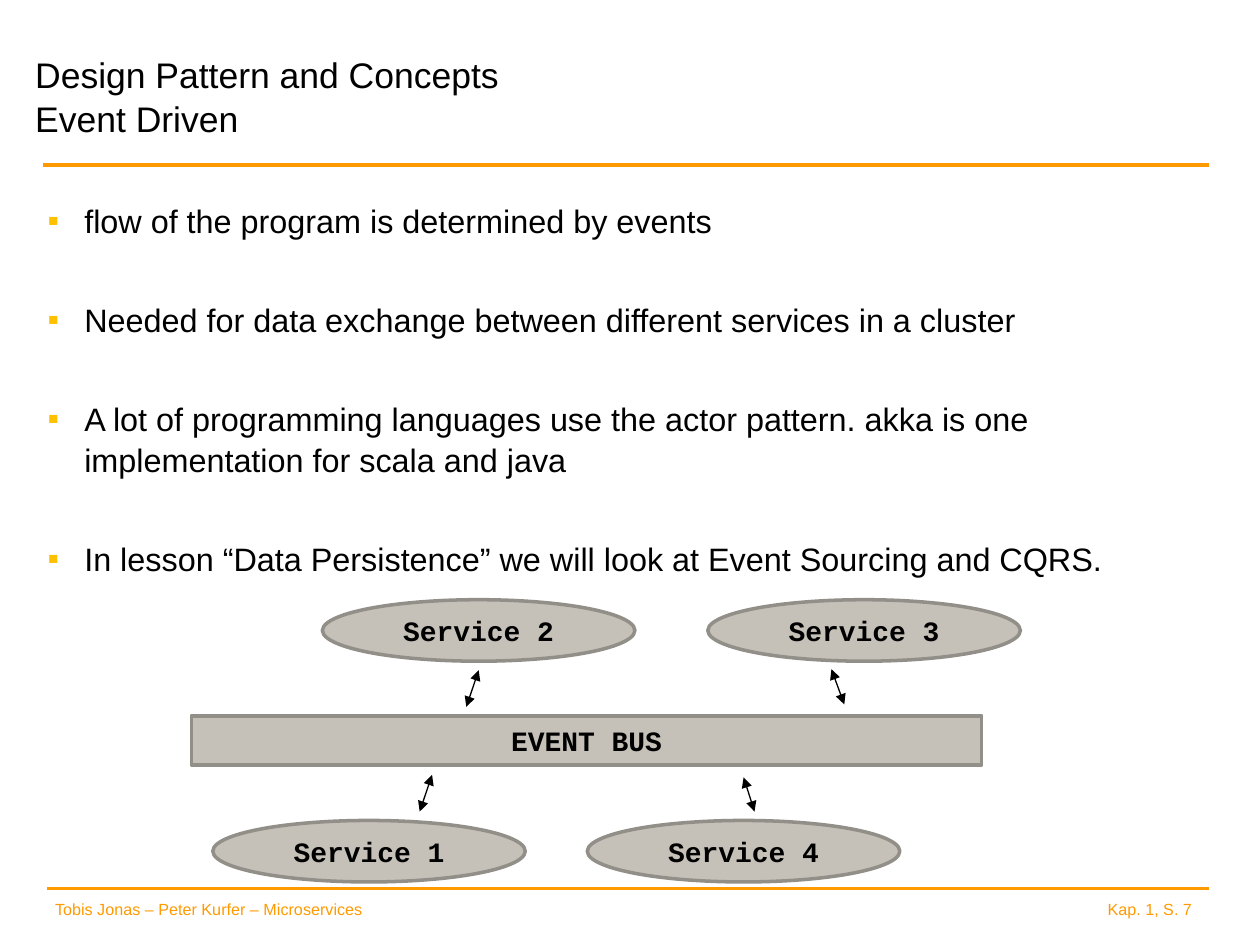
from lxml.etree import SubElement
from pptx import Presentation
from pptx.dml.color import RGBColor
from pptx.enum.shapes import MSO_CONNECTOR as Connector, MSO_SHAPE as Shape
from pptx.enum.text import MSO_ANCHOR as Anchor, MSO_AUTO_SIZE as AutoSize, PP_ALIGN as Align
from pptx.oxml.ns import qn
from pptx.util import Cm, Pt

BLACK = RGBColor(0x00, 0x00, 0x00)
ORANGE = RGBColor(0xFF, 0x9A, 0x00)
RULE_ORANGE = RGBColor(0xFF, 0x99, 0x00)
BULLET_YELLOW = RGBColor(0xFF, 0xC0, 0x00)
STONE = RGBColor(0xC5, 0xC1, 0xB9)
STONE_EDGE = RGBColor(0x92, 0x8F, 0x89)

TITLE = "Design Pattern and Concepts\vEvent Driven"
POINTS = [
    "flow of the program is determined by events",
    "Needed for data exchange between different services in a cluster",
    "A lot of programming languages use the actor pattern. akka is one implementation for scala and java",
    "In lesson “Data Persistence” we will look at Event Sourcing and CQRS.",
]
SERVICE_SIZE = (6.3, 1.24)
UPPER_ROW, LOWER_ROW = 12.09, 16.54
SERVICES = [
    ("Service 1", 4.29, LOWER_ROW),
    ("Service 4", 11.84, LOWER_ROW),
    ("Service 2", 6.5, UPPER_ROW),
    ("Service 3", 14.27, UPPER_ROW),
]
ARROWS = [
    (9.4, 14.25, 9.65, 13.51),
    (8.46, 16.36, 8.71, 15.62),
    (17.02, 14.2, 16.76, 13.49),
    (15.21, 16.36, 14.99, 15.67),
]


def set_text(paragraph, text, size=18.5, font="Arial", color=BLACK, bold=False,
             align=Align.LEFT, before=0, spacing=1.0):
    paragraph.text = text
    paragraph.alignment = align
    paragraph.space_before = Pt(before)
    paragraph.line_spacing = spacing
    for span in paragraph.runs:
        span.font.size = Pt(size)
        span.font.name = font
        span.font.bold = bold
        span.font.color.rgb = color
    for line_break in paragraph._p.findall(qn("a:br")):
        SubElement(line_break, qn("a:rPr"), sz=str(round(size * 100)))


def add_bullet(paragraph, char="▪", indent=Cm(0.74)):
    properties = paragraph._p.get_or_add_pPr()
    properties.set("marL", str(indent))
    properties.set("indent", str(-indent))
    color = SubElement(properties, qn("a:buClr"))
    SubElement(color, qn("a:srgbClr"), val=str(BULLET_YELLOW))
    SubElement(properties, qn("a:buFont"), typeface="Arial")
    SubElement(properties, qn("a:buChar"), char=char)


def set_margins(frame, left, top, right, bottom):
    frame.margin_left, frame.margin_top = Cm(left), Cm(top)
    frame.margin_right, frame.margin_bottom = Cm(right), Cm(bottom)


class SlideBuilder:
    """Holds the current slide and the style of its diagram."""

    label_style = dict(size=16, font="Courier New", bold=True, align=Align.CENTER)

    def __init__(self, page):
        self.page = page

    def title(self, text, left, top, width, height):
        box = self.page.shapes.title
        box.left, box.top, box.width, box.height = map(Cm, (left, top, width, height))
        frame = box.text_frame
        frame.auto_size = AutoSize.NONE
        frame.word_wrap = True
        frame.vertical_anchor = Anchor.BOTTOM
        set_margins(frame, 0, 0, 0, 0)
        set_text(frame.paragraphs[0], text, size=20.3, spacing=1.03)

    def text_box(self, left, top, width, height):
        frame = self.page.shapes.add_textbox(*map(Cm, (left, top, width, height))).text_frame
        frame.word_wrap = True
        return frame

    def bullets(self, points, left, top, width, height):
        frame = self.text_box(left, top, width, height)
        for index, point in enumerate(points):
            paragraph = frame.add_paragraph() if index else frame.paragraphs[0]
            set_text(paragraph, point, before=33.2 if index else 0, spacing=1.05)
            add_bullet(paragraph)

    def footer(self, text, left, width, align=Align.LEFT, right_margin=0.0):
        frame = self.text_box(left, 18.01, width, 0.66)
        set_margins(frame, 0.25, 0.13, right_margin, 0.13)
        set_text(frame.paragraphs[0], text, size=9.2, color=ORANGE, align=align)

    def node(self, kind, text, left, top, width, height):
        box = self.page.shapes.add_shape(kind, *map(Cm, (left, top, width, height)))
        box.shadow.inherit = False
        box.fill.solid()
        box.fill.fore_color.rgb = STONE
        box.line.color.rgb = STONE_EDGE
        box.line.width = Pt(2)
        frame = box.text_frame
        frame.word_wrap = False
        frame.vertical_anchor = Anchor.MIDDLE
        set_text(frame.paragraphs[0], text, **self.label_style)

    def line(self, x1, y1, x2, y2, color=RULE_ORANGE, width=2.0):
        line = self.page.shapes.add_connector(Connector.STRAIGHT, *map(Cm, (x1, y1, x2, y2)))
        line.line.color.rgb = color
        line.line.width = Pt(width)
        SubElement(line._element.spPr, qn("a:effectLst"))
        return line

    def double_arrow(self, x1, y1, x2, y2):
        arrow = self.line(x1, y1, x2, y2, color=BLACK, width=0.75)
        outline = arrow.line._get_or_add_ln()
        for end in ("a:headEnd", "a:tailEnd"):
            SubElement(outline, qn(end), type="triangle")


def main():
    deck = Presentation()
    deck.slide_width, deck.slide_height = Cm(25.4), Cm(19.05)
    builder = SlideBuilder(deck.slides.add_slide(deck.slide_layouts[5]))

    builder.footer("Kap. 1, S. 7", 21.41, 3, align=Align.RIGHT, right_margin=0.38)
    builder.footer("Tobis Jonas – Peter Kurfer – Microservices", 0.86, 10.34)
    builder.line(0.94, 17.91, 24.38, 17.91)
    builder.line(0.86, 3.33, 24.38, 3.33)
    builder.title(TITLE, 0.71, 0.69, 15.98, 2.13)
    builder.bullets(POINTS, 0.71, 3.89, 24.16, 13.46)

    builder.node(Shape.RECTANGLE, "EVENT BUS", 3.86, 14.43, 15.93, 0.99)
    for name, left, top in SERVICES:
        builder.node(Shape.OVAL, name, left, top, *SERVICE_SIZE)
    for ends in ARROWS:
        builder.double_arrow(*ends)

    deck.save("out.pptx")


if __name__ == "__main__":
    main()
